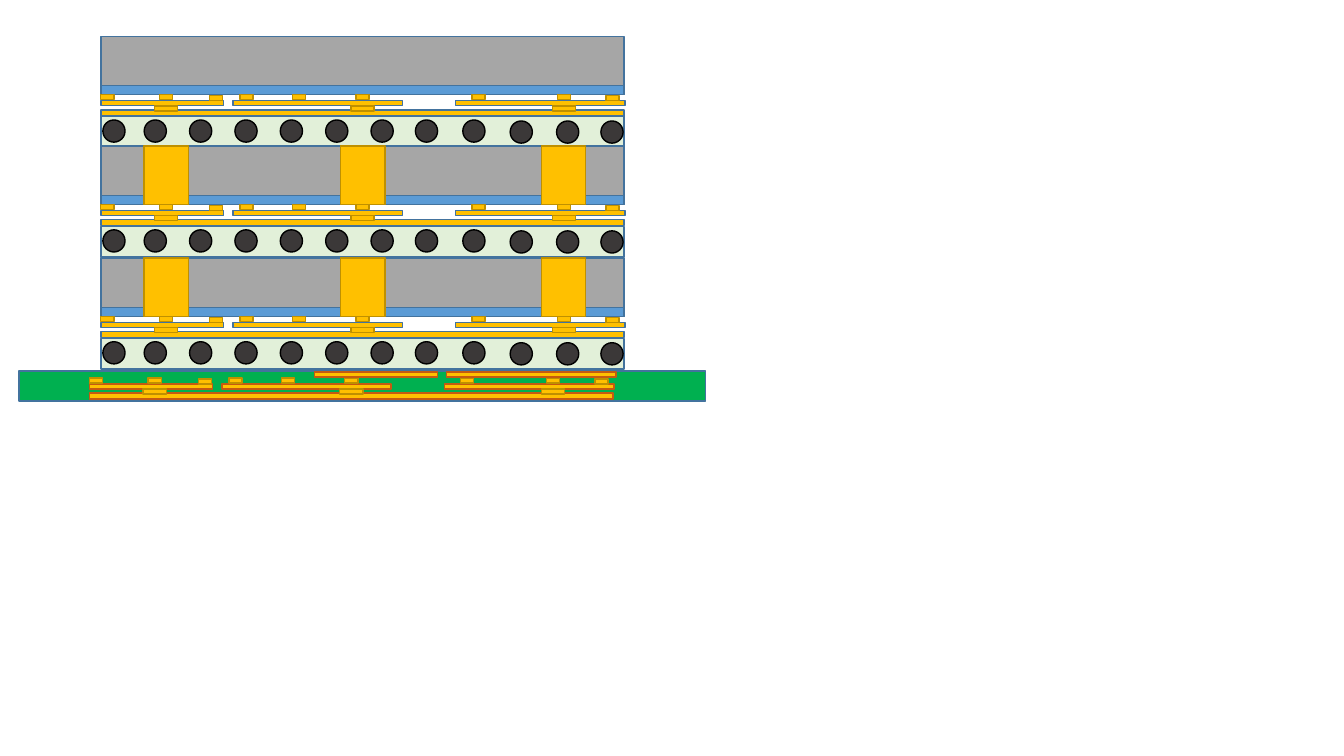
"""Build a slide with the cross-section of a three-die stack mounted on a circuit board."""
from pptx import Presentation
from pptx.dml.color import RGBColor
from pptx.enum.shapes import MSO_SHAPE
from pptx.util import Inches, Pt

RECT = MSO_SHAPE.RECTANGLE
OVAL = MSO_SHAPE.OVAL

COLORS = {
    "silicon": "A6A6A6", "oxide": "5B9BD5", "underfill": "E2F0D9",
    "copper": "FFC000", "ball": "3B3838", "board": "00B050",
    "blue edge": "43739E", "gold edge": "BF9000",
    "rust edge": "C55A11", "black edge": "000000",
}

STACK_LEFT, STACK_WIDTH = 1, 5.19
DIE_TOPS = [0.36, 1.45, 2.56]
UNDERFILL_TOPS = [1.15, 2.25, 3.36]
DIE_HEIGHT = 0.58
OXIDE_HEIGHT = 0.09

TRACES = [(0, 1.22), (1.31, 1.68), (3.52, 1.68)]
PADS = [(0, 0.58), (0.58, 0.58), (1.08, 0.59), (1.38, 0.58), (1.9, 0.58),
        (2.53, 0.58), (3.68, 0.58), (4.53, 0.58), (5.01, 0.59)]
VIAS = [0.53, 2.48, 4.48]
THROUGH_VIAS = [0.43, 2.38, 4.37]
BALLS = [(0.02, 0.83), (0.43, 0.83), (0.88, 0.83), (1.33, 0.83),
         (1.78, 0.83), (2.23, 0.83), (2.68, 0.83), (3.12, 0.83),
         (3.59, 0.83), (4.06, 0.84), (4.52, 0.84), (4.96, 0.84)]

BOARD = (0.19, 3.68, 6.81, 0.3)
BOARD_WIRING = (0.89, 3.17)
BOARD_TOP_TRACES = [(3.12, 1.22), (4.43, 1.68)]
BOARD_TOP_TRACE_Y = 3.69


def add_part(shapes, box, fill, edge, outline=RECT):
    part = shapes.add_shape(outline, *[Inches(length) for length in box])
    part.shadow.inherit = False
    part.fill.solid()
    part.fill.fore_color.rgb = RGBColor.from_string(COLORS[fill])
    part.line.color.rgb = RGBColor.from_string(COLORS[edge])
    part.line.width = Pt(1)


def add_wiring(shapes, left, top, trace_edge):
    for x, width in TRACES:
        add_part(shapes, (left + x, top + 0.64, width, 0.05), "copper", trace_edge)
    add_part(shapes, (left, top + 0.73, STACK_WIDTH, 0.06), "copper", trace_edge)
    for x in VIAS:
        add_part(shapes, (left + x, top + 0.69, 0.23, 0.05), "copper", "gold edge")
    for x, drop in PADS:
        add_part(shapes, (left + x, top + drop, 0.13, 0.05), "copper", "gold edge")


def add_die(shapes, top, has_through_vias):
    oxide_top = top + DIE_HEIGHT - OXIDE_HEIGHT
    add_part(shapes, (STACK_LEFT, top, STACK_WIDTH, DIE_HEIGHT), "silicon", "blue edge")
    add_part(shapes, (STACK_LEFT, oxide_top, STACK_WIDTH, OXIDE_HEIGHT), "oxide", "blue edge")
    if has_through_vias:
        for x in THROUGH_VIAS:
            add_part(shapes, (STACK_LEFT + x, top, 0.44, DIE_HEIGHT), "copper", "gold edge")
    add_wiring(shapes, STACK_LEFT, top, "blue edge")
    for x, drop in BALLS:
        add_part(shapes, (STACK_LEFT + x, top + drop, 0.22, 0.22), "ball", "black edge", OVAL)


def add_board(shapes):
    add_part(shapes, BOARD, "board", "blue edge")
    add_wiring(shapes, *BOARD_WIRING, "rust edge")
    for x, width in BOARD_TOP_TRACES:
        add_part(shapes, (x, BOARD_TOP_TRACE_Y, width, 0.05), "copper", "rust edge")


def main():
    deck = Presentation()
    deck.slide_width, deck.slide_height = Inches(13.33), Inches(7.5)
    slide = deck.slides.add_slide(deck.slide_layouts[6])
    package = slide.shapes.add_group_shape().shapes
    for top in UNDERFILL_TOPS:
        add_part(package, (STACK_LEFT, top, STACK_WIDTH, 0.3), "underfill", "blue edge")
    for level, top in enumerate(DIE_TOPS):
        add_die(package, top, has_through_vias=level > 0)
    add_board(package)
    deck.save("out.pptx")


if __name__ == "__main__":
    main()
